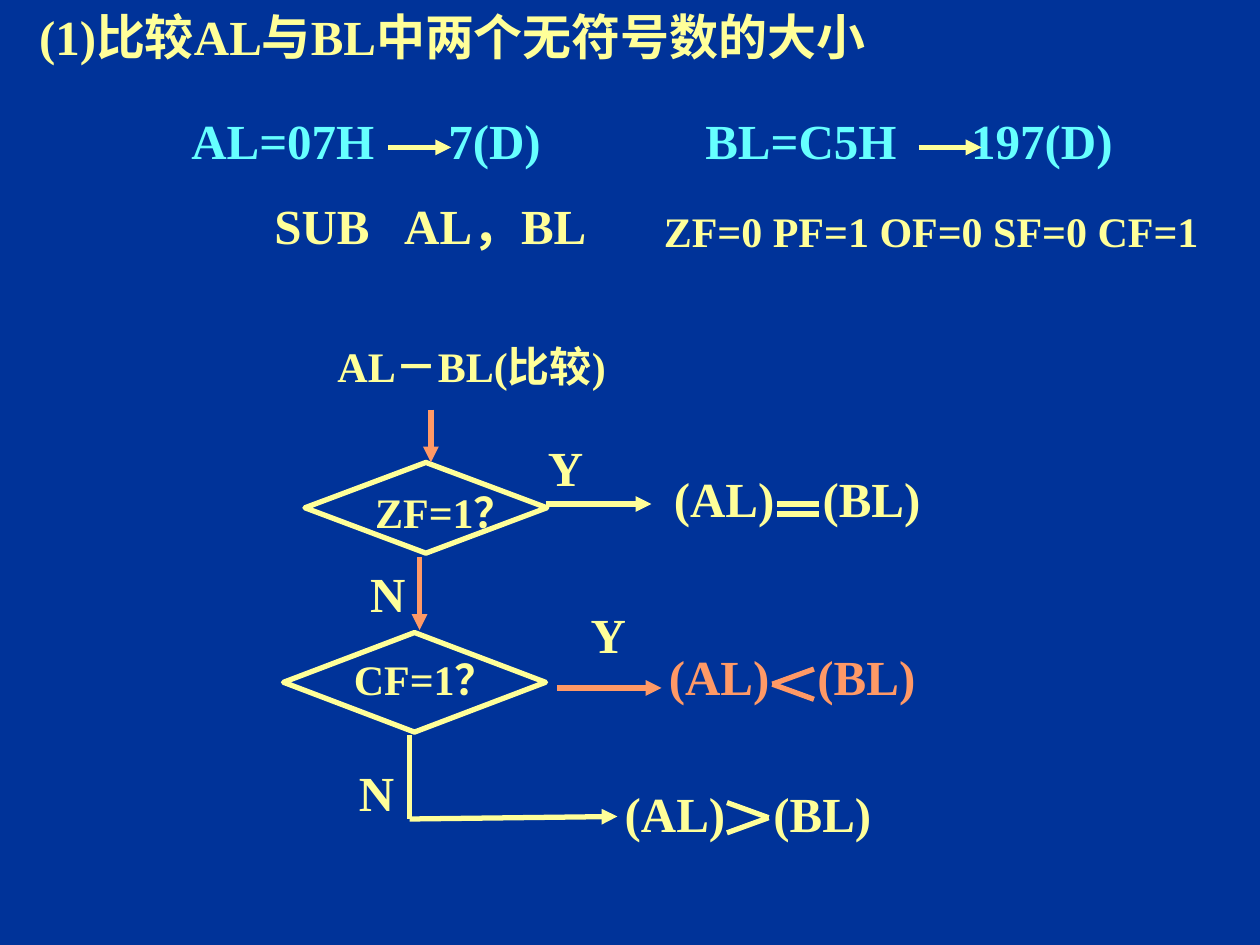
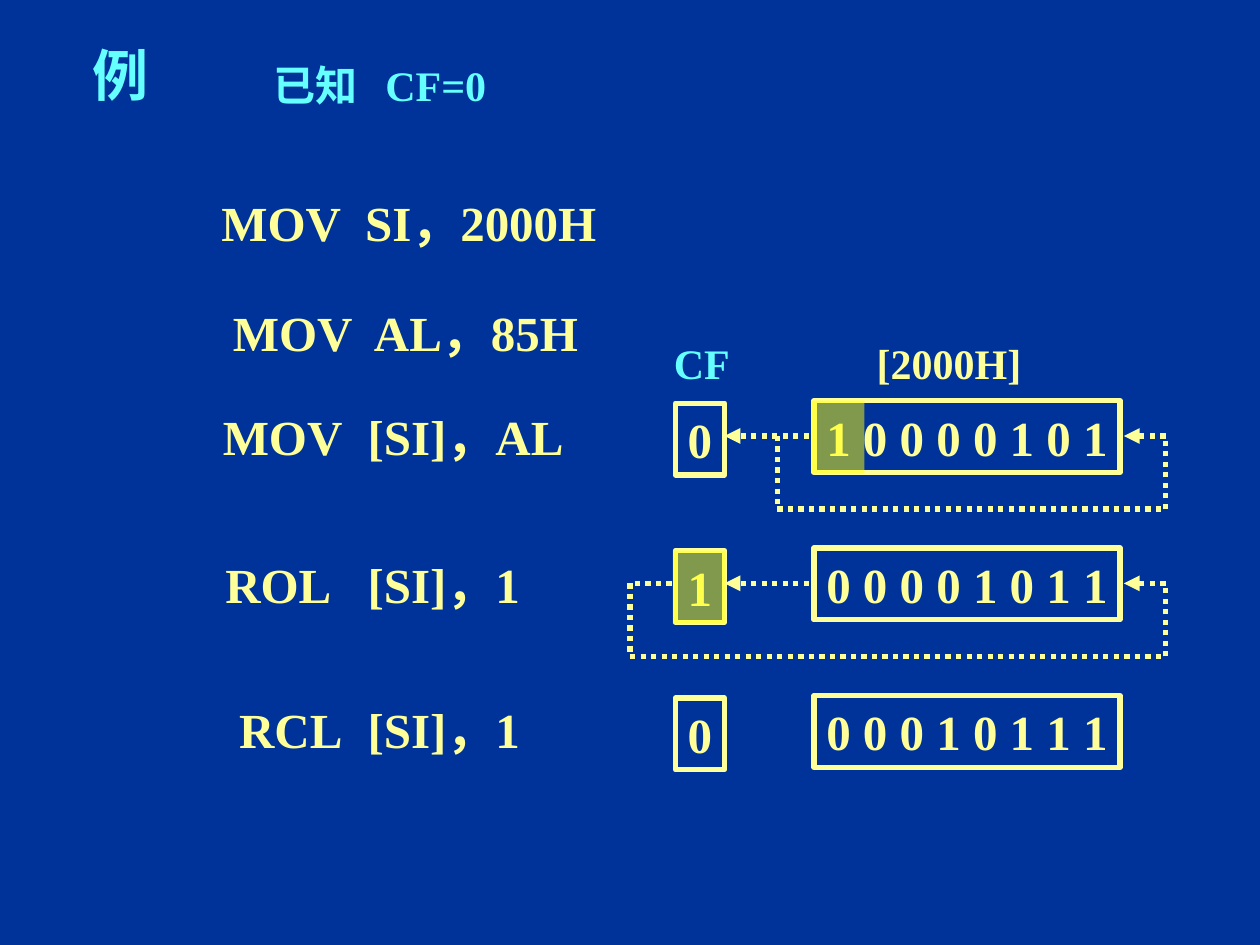
from typing import NamedTuple, Optional

from lxml.etree import SubElement
from pptx import Presentation
from pptx.dml.color import RGBColor
from pptx.enum.dml import MSO_LINE
from pptx.enum.shapes import MSO_CONNECTOR, MSO_SHAPE as Preset
from pptx.enum.text import MSO_ANCHOR as Anchor, MSO_AUTO_SIZE, PP_ALIGN as Align
from pptx.oxml.ns import qn
from pptx.util import Inches, Pt

COLORS = {"navy": "003399", "cream": "FFFF99", "cyan": "66FFFF",
          "orange": "FF9966", "yellow": "FFFF00"}
FONT = {"name": "Times New Roman", "bold": True}
FRAME = {"margin_left": Inches(0.1), "margin_right": Inches(0.1),
         "margin_top": Inches(0.05), "margin_bottom": Inches(0.05),
         "auto_size": MSO_AUTO_SIZE.NONE}
INSET = 0.1

Point = tuple[float, float]


class Label(NamedTuple):
    text: str
    left: float
    top: float
    width: float
    size: int = 28
    color: str = "cream"
    tab: Optional[float] = None


class Arrow(NamedTuple):
    points: list[Point]
    color: str = "cream"
    head: bool = True
    dotted: bool = False


class Decision(NamedTuple):
    left: float
    top: float
    width: float
    height: float


class Instruction(NamedTuple):
    opcode: str
    operands: str
    left: float
    top: float
    operand_x: float


class RotateStep(NamedTuple):
    carry: str
    memory: str


def rgb(color: str) -> RGBColor:
    return RGBColor.from_string(COLORS[color])


def apply_format(target, values: dict) -> None:
    for attribute, value in values.items():
        setattr(target, attribute, value)


def write(frame, text: str, size: int, color: str, align=Align.LEFT,
          anchor=Anchor.TOP, wrap: bool = True) -> None:
    apply_format(frame, FRAME | {"word_wrap": wrap, "vertical_anchor": anchor})
    paragraph = frame.paragraphs[0]
    paragraph.alignment = align
    run = paragraph.add_run()
    run.text = text
    apply_format(run.font, FONT | {"size": Pt(size)})
    run.font.color.rgb = rgb(color)


def place_title(slide, text: str, box: tuple, size: int, color: str, **layout) -> None:
    title = slide.shapes.title
    sides = ("left", "top", "width", "height")
    apply_format(title, dict(zip(sides, map(Inches, box))))
    write(title.text_frame, text, size, color, **layout)


def draw_label(slide, label: Label) -> None:
    height = 0.57 if label.size == 28 else 0.5
    box = slide.shapes.add_textbox(*map(Inches, (label.left, label.top, label.width, height)))
    write(box.text_frame, label.text, label.size, label.color)
    if label.tab:
        properties = box.text_frame.paragraphs[0]._p.get_or_add_pPr()
        stops = SubElement(properties, qn("a:tabLst"))
        SubElement(stops, qn("a:tab"), pos=str(Inches(label.tab)), algn="l")


def draw_arrow(slide, arrow: Arrow) -> None:
    """Join the points with straight lines; the last one may carry a head."""
    for start, end in zip(arrow.points, arrow.points[1:]):
        line = slide.shapes.add_connector(
            MSO_CONNECTOR.STRAIGHT, *map(Inches, (*start, *end)))
        line.line.color.rgb = rgb(arrow.color)
        line.line.width = Pt(3)
        if arrow.dotted:
            line.line.dash_style = MSO_LINE.ROUND_DOT
        properties = line._element.spPr
        if arrow.head and end == arrow.points[-1]:
            SubElement(properties.find(qn("a:ln")), qn("a:tailEnd"), type="triangle")
        SubElement(properties, qn("a:effectLst"))


def draw_outline(slide, preset, left: float, top: float, width: float, height: float):
    shape = slide.shapes.add_shape(preset, *map(Inches, (left, top, width, height)))
    shape.shadow.inherit = False
    shape.fill.background()
    shape.line.color.rgb = rgb("cream")
    shape.line.width = Pt(3)
    return shape


def draw_cell(slide, bits: str, left: float, top: float, width: float) -> None:
    cell = draw_outline(slide, Preset.RECTANGLE, left, top, width, 0.57)
    write(cell.text_frame, bits, 28, "cream", Align.CENTER, Anchor.MIDDLE, wrap=False)


def draw_highlight(slide, left: float, top: float) -> None:
    mark = slide.shapes.add_shape(
        Preset.RECTANGLE, *map(Inches, (left, top, 0.42, 0.58)))
    mark.shadow.inherit = False
    mark.line.fill.background()
    mark.fill.solid()
    mark.fill.fore_color.rgb = rgb("yellow")
    tint = mark._element.spPr.find(qn("a:solidFill"))[0]
    SubElement(tint, qn("a:alpha"), val="50000")


def angle_sign(tip: Point, open_x: float, color: str) -> Arrow:
    x, y = tip
    return Arrow([(open_x, y - 0.12), (x, y), (open_x, y + 0.12)], color, head=False)


def outcome(left: float, top: float, color: str = "cream") -> Label:
    return Label("(AL)\t(BL)", left, top, 2.3, color=color, tab=1.18)


def build_comparison(slide) -> None:
    place_title(slide, "(1)比较AL与BL中两个无符号数的大小", (0.21, 0, 8, 0.57), 28, "cream")
    decisions = [Decision(2.42, 3.67, 1.92, 0.72), Decision(2.25, 5.02, 2.08, 0.79)]
    labels = [
        Label("AL=07H\t7(D)", 1.42, 0.83, 3.58, color="cyan", tab=2.04),
        Label("BL=C5H\t197(D)", 5.5, 0.83, 3.62, color="cyan", tab=2.11),
        Label("SUB\tAL，BL", 2.08, 1.5, 3, tab=1.03),
        Label("ZF=0 PF=1 OF=0 SF=0 CF=1", 5.17, 1.58, 4.58, 24),
        Label("AL－BL(比较)", 2.58, 2.65, 2.42, 24),
        Label("ZF=1？", 2.88, 3.81, 1.5, 24),
        Label("CF=1？", 2.71, 5.14, 1.5, 24),
        Label("Y", 4.25, 3.42, 0.6),
        Label("Y", 4.59, 4.75, 0.6),
        Label("N", 2.84, 4.42, 0.6),
        Label("N", 2.75, 6, 0.6),
        outcome(5.25, 3.67),
        outcome(5.21, 5.08, "orange"),
        outcome(4.86, 6.17),
    ]
    arrows = [
        Arrow([(3.08, 1.17), (3.58, 1.17)]),
        Arrow([(7.29, 1.17), (7.79, 1.17)]),
        Arrow([(3.42, 3.25), (3.42, 3.67)], "orange"),
        Arrow([(4.33, 4), (5.17, 4)]),
        Arrow([(3.33, 4.42), (3.33, 5)], "orange"),
        Arrow([(4.42, 5.46), (5.25, 5.46)], "orange"),
        Arrow([(3.25, 5.83), (3.25, 6.5), (4.9, 6.48)]),
        *(Arrow([(6.17, y), (6.5, y)], head=False) for y in (4, 4.08)),
        angle_sign((6.13, 5.43), 6.46, "orange"),
        angle_sign((6.1, 6.49), 5.77, "cream"),
    ]
    for decision in decisions:
        draw_outline(slide, Preset.FLOWCHART_DECISION, *decision)
    for label in labels:
        draw_label(slide, label)
    for arrow in arrows:
        draw_arrow(slide, arrow)


def build_rotation(slide) -> None:
    place_title(slide, "例", (0.5, 0.25, 0.92, 0.67), 32, "cyan",
                align=Align.CENTER, anchor=Anchor.MIDDLE)
    draw_label(slide, Label("已知\tCF=0", 2.07, 0.42, 2.33, 24, "cyan", 0.89))
    draw_label(slide, Label("CF", 5.25, 2.63, 0.8, 24, "cyan"))
    draw_label(slide, Label("[2000H]", 6.86, 2.63, 1.5, 24))

    program = [
        Instruction("MOV", "SI，2000H", 1.66, 1.48, 2.9),
        Instruction("MOV", "AL，85H", 1.75, 2.35, 2.97),
        Instruction("MOV", "[SI]，AL", 1.67, 3.18, 2.92),
        Instruction("ROL", "[SI]，1", 1.69, 4.35, 2.92),
        Instruction("RCL", "[SI]，1", 1.8, 5.5, 2.92),
    ]
    for step in program:
        draw_label(slide, Label(f"{step.opcode}\t{step.operands}", step.left, step.top, 3.5,
                                tab=step.operand_x - step.left - INSET))

    states = [RotateStep("0", "1 0 0 0 0 1 0 1"),
              RotateStep("1", "0 0 0 0 1 0 1 1"),
              RotateStep("0", "0 0 0 1 0 1 1 1")]
    row_tops = [3.18 + 1.17 * row for row in range(len(states))]
    for state, top in zip(states, row_tops):
        draw_cell(slide, state.memory, 6.46, top, 2.43)
        draw_cell(slide, state.carry, 5.36, top + 0.02, 0.39)

    # ROL feeds back the top bit, RCL feeds back the carry.
    for top, source_x, turn_x in zip(row_tops, (6.17, 5.33), (6.17, 5)):
        y, bottom = top + 0.28, top + 0.86
        feedback = [(turn_x, y), (turn_x, bottom), (9.25, bottom), (9.25, y), (8.92, y)]
        if source_x != turn_x:
            feedback.insert(0, (source_x, y))
        draw_arrow(slide, Arrow([(6.42, y), (5.75, y)], dotted=True))
        draw_arrow(slide, Arrow(feedback, dotted=True))
    draw_highlight(slide, 6.44, row_tops[0])
    draw_highlight(slide, 5.34, row_tops[1] + 0.02)


def main() -> None:
    deck = Presentation()
    deck.slide_width, deck.slide_height = Inches(10), Inches(7.5)
    backdrop = deck.slide_master.background.fill
    backdrop.solid()
    backdrop.fore_color.rgb = rgb("navy")
    title_only = deck.slide_layouts[5]
    for build in (build_comparison, build_rotation):
        build(deck.slides.add_slide(title_only))
    deck.save("out.pptx")


if __name__ == "__main__":
    main()
